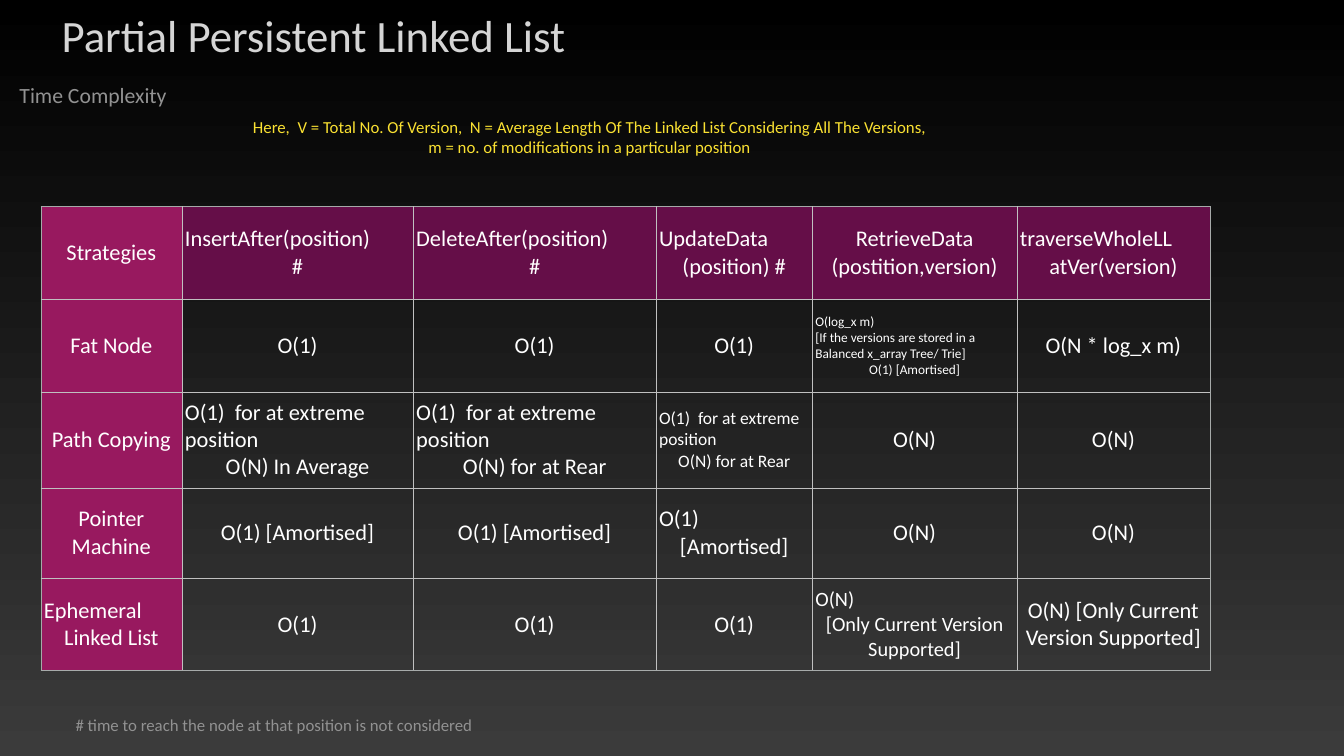
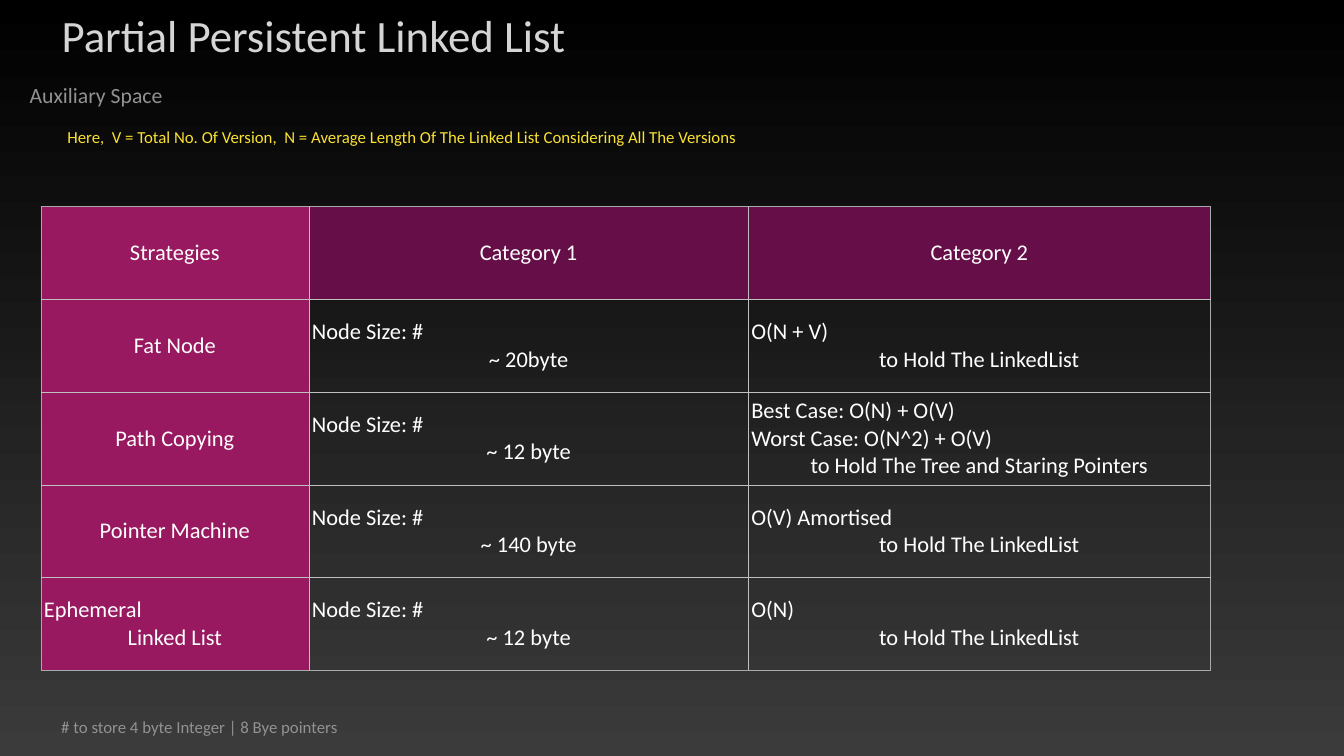
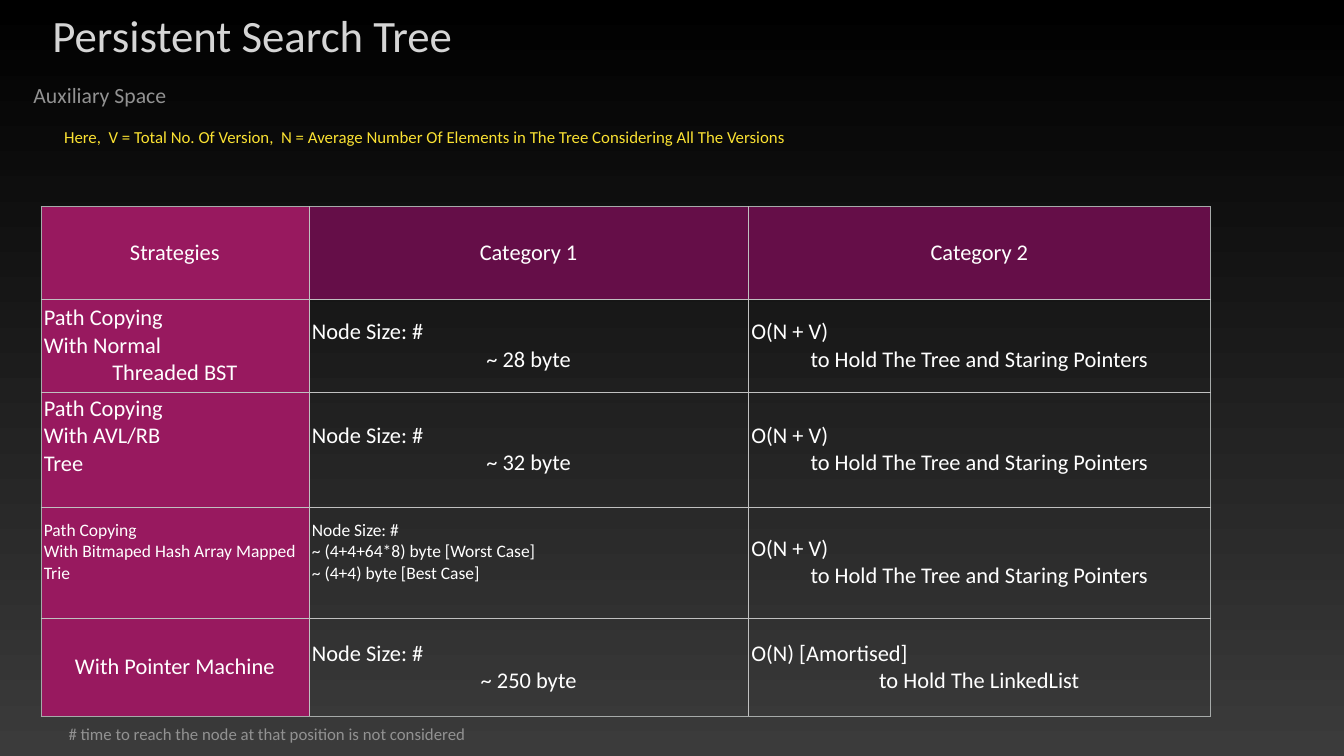
from lxml import etree
from pptx import Presentation
from pptx import util as u
from pptx.dml.color import RGBColor
from pptx.enum import text
from pptx.oxml import ns

# Shared style
FONT = "Calibri"
BLACK = RGBColor(0x00, 0x00, 0x00)
DARK = RGBColor(0x3B, 0x3B, 0x3B)
WHITE = RGBColor(0xFF, 0xFF, 0xFF)
LIGHT = RGBColor(0xD5, 0xD5, 0xD5)
GREY = RGBColor(0x92, 0x92, 0x92)
YELLOW = RGBColor(0xFA, 0xE1, 0x32)
PLUM = RGBColor(0x65, 0x0E, 0x48)
PINK = RGBColor(0x98, 0x19, 0x5F)
INNER = RGBColor(0xC0, 0xC0, 0xC0)
OUTER = RGBColor(0xA6, 0xAA, 0xA9)
INSET = 0.06
SIZE = 32
LEFT, TOP = 0.81, 4.1

# Table wording: a cell is a string, or a pair of string and text size
ONE, LIN, AMORT = "O(1)", "O(N)", "O(1) [Amortised]"
EXTREME = "O(1)  for at extreme position\n"
REAR = EXTREME + "O(N) for at Rear"
LIST = "to Hold The LinkedList"
TREE = "to Hold The Tree and Staring Pointers"
EPHEM = "Ephemeral\nLinked List"
HEADS = ["Strategies", "Category 1", "Category 2"]
WIDTHS = [5.32, 8.72, 9.17]


def node(size):
    return f"Node Size: #\n~ {size}"


TIMES = [
    ["Strategies", "InsertAfter(position)\n#", "DeleteAfter(position)\n#",
     "UpdateData\n(position) #", "RetrieveData (postition,version)",
     "traverseWholeLL\natVer(version)"],
    ["Fat Node", ONE, ONE, ONE,
     ("O(log_x m)\n[If the versions are stored in a Balanced x_array Tree/ Trie]"
      "\n" + AMORT, 19), "O(N * log_x m)"],
    ["Path Copying", EXTREME + "O(N) In Average", REAR, (REAR, 25), LIN, LIN],
    ["Pointer Machine", AMORT, AMORT, "O(1)\n[Amortised]", LIN, LIN],
    [EPHEM, ONE, ONE, ONE, ("O(N)\n[Only Current Version Supported]", 29),
     "O(N) [Only Current Version Supported]"],
]
SPACE = [
    HEADS,
    ["Fat Node", node("20byte"), "O(N + V)\n" + LIST],
    ["Path Copying", node("12 byte"),
     "Best Case: O(N) + O(V)\nWorst Case: O(N^2) + O(V)\n" + TREE],
    ["Pointer Machine", node("140 byte"), "O(V) Amortised\n" + LIST],
    [EPHEM, node("12 byte"), "O(N)\n" + LIST],
]
SEARCH = [
    HEADS,
    ["Path Copying\nWith Normal\nThreaded BST", node("28 byte"),
     "O(N + V)\n" + TREE],
    ["Path Copying\nWith AVL/RB\nTree\n", node("32 byte"), "O(N + V)\n" + TREE],
    [("Path Copying\nWith Bitmaped Hash Array Mapped Trie\n", 25),
     (node("(4+4+64*8) byte [Worst Case]\n~ (4+4) byte [Best Case]\n"), 25),
     "O(N + V)\n" + TREE],
    ["With Pointer Machine", node("250 byte"), "O(N) [Amortised]\n" + LIST],
]


def add_run(para, words, size, color):
    run = para.add_run()
    run.text = words
    run.font.name, run.font.size = FONT, u.Pt(size)
    run.font.color.rgb = color


def set_inset(area):
    area.margin_left = area.margin_right = u.Inches(INSET)
    area.margin_top = area.margin_bottom = u.Inches(INSET)
    area.vertical_anchor = text.MSO_ANCHOR.MIDDLE


def fill_box(box, words, place, size, color):
    """Place one centred, unwrapped text that fits its own box."""
    box.left, box.top, box.width, box.height = map(u.Inches, place)
    frame = box.text_frame
    set_inset(frame)
    frame.word_wrap = False
    frame.auto_size = text.MSO_AUTO_SIZE.SHAPE_TO_FIT_TEXT
    for i, line in enumerate(words.split("\n")):
        para = frame.add_paragraph() if i else frame.paragraphs[0]
        para.alignment = text.PP_ALIGN.CENTER
        add_run(para, line, size, color)


def add_label(slide, words, place, size, color):
    box = slide.shapes.add_textbox(*map(u.Inches, place))
    fill_box(box, words, place, size, color)


def set_edges(cell, edges):
    """Draw the borders, which come before the fill in the cell's XML."""
    props = cell._tc.get_or_add_tcPr()
    for i, (side, color) in enumerate(edges):
        line = etree.Element(ns.qn(f"a:ln{side}"), w=str(u.Pt(1)))
        solid = etree.SubElement(line, ns.qn("a:solidFill"))
        etree.SubElement(solid, ns.qn("a:srgbClr"), val=str(color))
        props.insert(i, line)


def fill_cell(cell, item):
    """Centre the last line and set those above it flush left."""
    words, size = item if isinstance(item, tuple) else (item, SIZE)
    set_inset(cell)
    lines = words.split("\n")
    last = len(lines) - 1
    if not lines[last]:  # an open last line becomes room below
        lines.pop()
        cell.margin_bottom = u.Inches(INSET) + u.Pt(1.22 * size)
    for i, line in enumerate(lines):
        para = cell.text_frame.add_paragraph() if i else cell.text_frame.paragraphs[0]
        para.alignment = text.PP_ALIGN.CENTER if i == last else text.PP_ALIGN.LEFT
        add_run(para, line, size, WHITE)


def add_grid(slide, rows, widths, heights):
    shape = slide.shapes.add_table(
        len(rows), len(widths), u.Inches(LEFT), u.Inches(TOP),
        u.Inches(sum(widths)), u.Inches(sum(heights)))
    table = shape.table
    table.first_row = table.horz_banding = False
    for col, width in zip(table.columns, widths):
        col.width = u.Inches(width)
    for row, height in zip(table.rows, heights):
        row.height = u.Inches(height)
    end_r, end_c = len(rows) - 1, len(widths) - 1
    for r, row in enumerate(rows):
        for c, item in enumerate(row):
            cell = table.cell(r, c)
            fill_cell(cell, item)
            if r and c:
                cell.fill.background()
            else:
                cell.fill.solid()
                cell.fill.fore_color.rgb = PLUM if c else PINK
            rims = [("L", c == 0), ("R", c == end_c), ("T", r == 0), ("B", r == end_r)]
            set_edges(cell, [(s, OUTER if rim else INNER) for s, rim in rims])


def set_back(master):
    fill = master.background.fill
    fill.gradient()
    fill.gradient_angle = 270
    for stop, spot, color in zip(fill.gradient_stops, (0, 1), (BLACK, DARK)):
        stop.position = spot
        stop.color.rgb = color


def add_page(prs, title, topic, note, foot, grid):
    """Each text comes as a pair of wording and place."""
    slide = prs.slides.add_slide(prs.slide_layouts[5])
    fill_box(slide.shapes.title, *title, 64, LIGHT)
    add_label(slide, *topic, 31, GREY)
    add_label(slide, *note, 24, YELLOW)
    add_grid(slide, *grid)
    add_label(slide, *foot, 24, GREY)


def main():
    prs = Presentation()
    prs.slide_width, prs.slide_height = u.Inches(26.67), u.Inches(15)
    set_back(prs.slide_master)

    partial = ("Partial Persistent Linked List", (0.23, 0.05, 11.98, 1.28))
    here = "Here,  V = Total No. Of Version,  N = Average "
    length = here + "Length Of The Linked List Considering All The Versions"
    reach = "# time to reach the node at that position is not considered"

    # Time complexity of the list
    add_page(
        prs, partial, ("Time Complexity", (-0.03, 1.55, 3.75, 0.68)),
        (length + ",\nm = no. of modifications in a particular position",
         (3.89, 2.23, 15.61, 0.97)),
        (reach, (0.81, 14.12, 9.25, 0.54)),
        (TIMES, [2.8, 4.59, 4.82, 3.1, 4.06, 3.83], [1.84, 1.84, 1.9, 1.79, 1.84]))

    # Space used by the list
    add_page(
        prs, partial, ("Auxiliary Space", (0.18, 1.55, 3.45, 0.68)),
        (length, (0.21, 2.45, 15.52, 0.54)),
        ("# to store 4 byte Integer | 8 Bye pointers", (0.73, 14.15, 6.45, 0.54)),
        (SPACE, WIDTHS, [1.84] * 5))

    # Space used by the search tree
    add_page(
        prs, ("Persistent Search Tree", (0.2, 0.05, 9.61, 1.28)),
        ("Auxiliary Space", (0.37, 1.55, 3.22, 0.68)),
        (here + "Number Of Elements in The Tree Considering All The Versions",
         (0.12, 2.44, 16.6, 0.54)),
        (reach, (0.67, 14.29, 9.25, 0.54)),
        (SEARCH, WIDTHS, [1.84, 1.84, 2.28, 2.2, 1.96]))

    prs.save("out.pptx")


if __name__ == "__main__":
    main()
